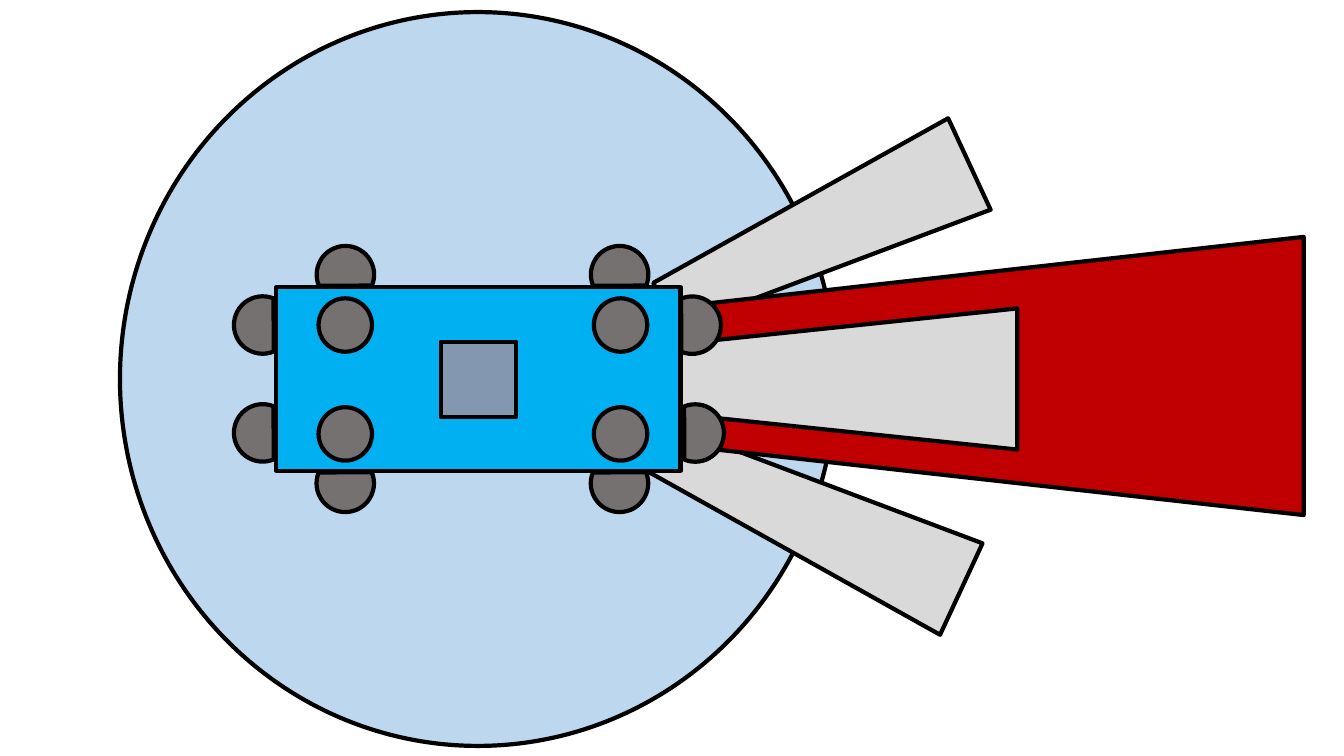
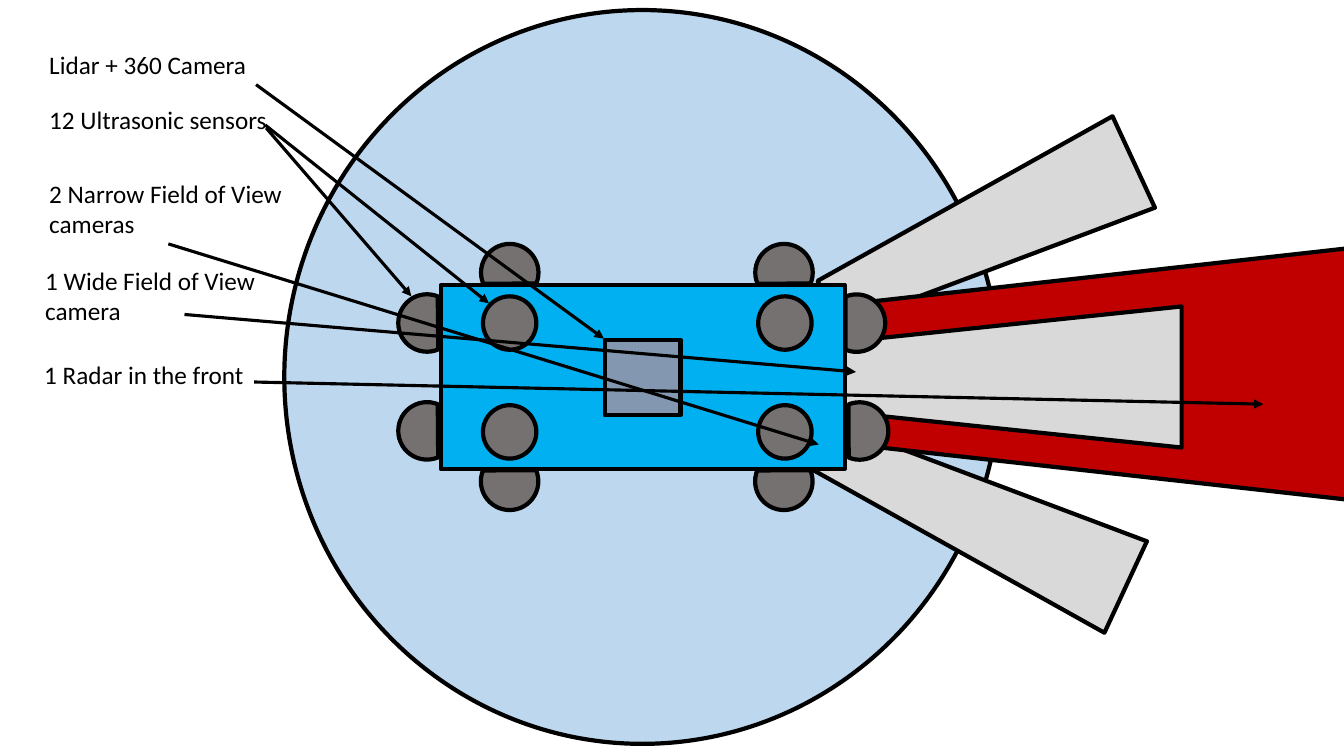
import pptx
import pptx.util
import pptx.dml.color
import pptx.enum.shapes
import pptx.enum.text
import lxml.etree
from dataclasses import dataclass
from pptx.util import Inches
from pptx.oxml.ns import qn


@dataclass(frozen=True)
class Theme:
    ink: str = "000000"
    lidar_range: str = "BDD7EE"
    camera_view: str = "D9D9D9"
    radar_beam: str = "C00000"
    vehicle: str = "00B0F0"
    ultrasonic: str = "767171"
    lidar: str = "8497B0"
    font: str = "Calibri"
    label_size: float = 18
    outline: float = 3
    pointer: float = 2.25


theme = Theme()
forms = pptx.enum.shapes.MSO_SHAPE
rgb = pptx.dml.color.RGBColor.from_string

sensor_layout = [
    (forms.OVAL, theme.lidar_range, 1.19, 0.12, 7.1, 7.28, 0),
    (forms.TRAPEZOID, theme.camera_view, 7.52, 3.47, 1, 3.34, 294.9),
    (forms.TRAPEZOID, theme.camera_view, 7.6, 0.66, 1, 3.34, 245.1),
    (forms.TRAPEZOID, theme.radar_beam, 8.46, 0.64, 2.76, 6.18, 270),
    (forms.TRAPEZOID, theme.camera_view, 7.72, 2.09, 1.4, 3.34, 270),
    (forms.RECTANGLE, theme.vehicle, 2.74, 2.85, 4.01, 1.82, 0),
]
for left, top, angle in [
    (3.14, 2.44, 112.4), (5.86, 2.44, 112.4),
    (3.14, 4.51, 292.2), (5.86, 4.51, 292.2),
    (2.32, 2.94, 22), (2.32, 4.01, 22),
    (6.58, 2.94, 202.3), (6.61, 4.01, 202.3),
]:
    sensor_layout.append((forms.CHORD, theme.ultrasonic, left, top, 0.57, 0.57, angle))
for left in (3.16, 5.89):
    for top in (2.96, 4.04):
        sensor_layout.append((forms.OVAL, theme.ultrasonic, left, top, 0.53, 0.53, 0))
sensor_layout.append((forms.RECTANGLE, theme.lidar, 4.37, 3.39, 0.75, 0.75, 0))

deck = pptx.Presentation()
deck.slide_width, deck.slide_height = Inches(13.33), Inches(7.5)


def draw_vehicle(shift_x, shift_y):
    slide = deck.slides.add_slide(deck.slide_layouts[6])
    for form, color, left, top, width, height, angle in sensor_layout:
        part = slide.shapes.add_shape(
            form, Inches(left + shift_x), Inches(top + shift_y), Inches(width), Inches(height))
        part.rotation = angle
        part.shadow.inherit = False
        part.fill.solid()
        part.fill.fore_color.rgb = rgb(color)
        part.line.color.rgb = rgb(theme.ink)
        part.line.width = pptx.util.Pt(theme.outline)
    return slide


draw_vehicle(0, 0)
labelled = draw_vehicle(1.63, -0.02)

for wording, left, top, height in [
    ("Lidar + 360 Camera", 0.39, 0.44, 0.4),
    ("12 Ultrasonic sensors", 0.39, 0.99, 0.4),
    ("2 Narrow Field of View cameras", 0.39, 1.72, 0.71),
    ("1 Wide Field of View camera", 0.35, 2.58, 0.71),
    ("1 Radar in the front", 0.34, 3.52, 0.4),
]:
    label = labelled.shapes.add_textbox(Inches(left), Inches(top), Inches(2.56), Inches(height))
    label.text_frame.word_wrap = True
    label.text_frame.auto_size = pptx.enum.text.MSO_AUTO_SIZE.SHAPE_TO_FIT_TEXT
    run = label.text_frame.paragraphs[0].add_run()
    run.text = wording
    run.font.name = theme.font
    run.font.size = pptx.util.Pt(theme.label_size)
    run.font.color.rgb = rgb(theme.ink)

for start_x, start_y, end_x, end_y in [
    (2.54, 0.84, 5.99, 3.36),
    (2.64, 1.27, 4.08, 2.94),
    (2.63, 1.24, 4.85, 3.01),
    (1.67, 2.42, 8.12, 4.41),
    (1.83, 3.12, 8.49, 3.69),
    (2.52, 3.79, 12.53, 4.01),
]:
    pointer = labelled.shapes.add_connector(
        pptx.enum.shapes.MSO_CONNECTOR.STRAIGHT,
        Inches(start_x), Inches(start_y), Inches(end_x), Inches(end_y))
    pointer.line.color.rgb = rgb(theme.ink)
    pointer.line.width = pptx.util.Pt(theme.pointer)
    lxml.etree.SubElement(pointer.line._get_or_add_ln(), qn("a:tailEnd"), type="triangle")
    lxml.etree.SubElement(pointer._element.spPr, qn("a:effectLst"))

deck.save("out.pptx")
